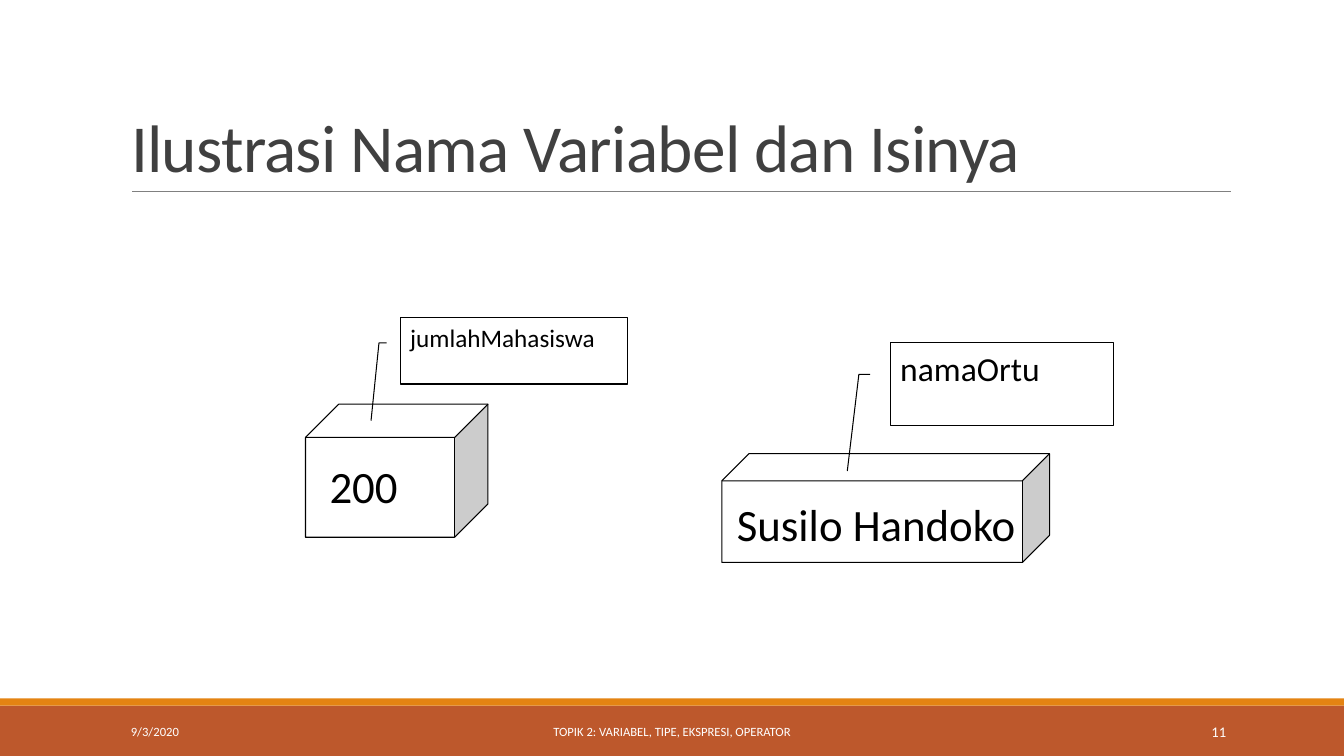
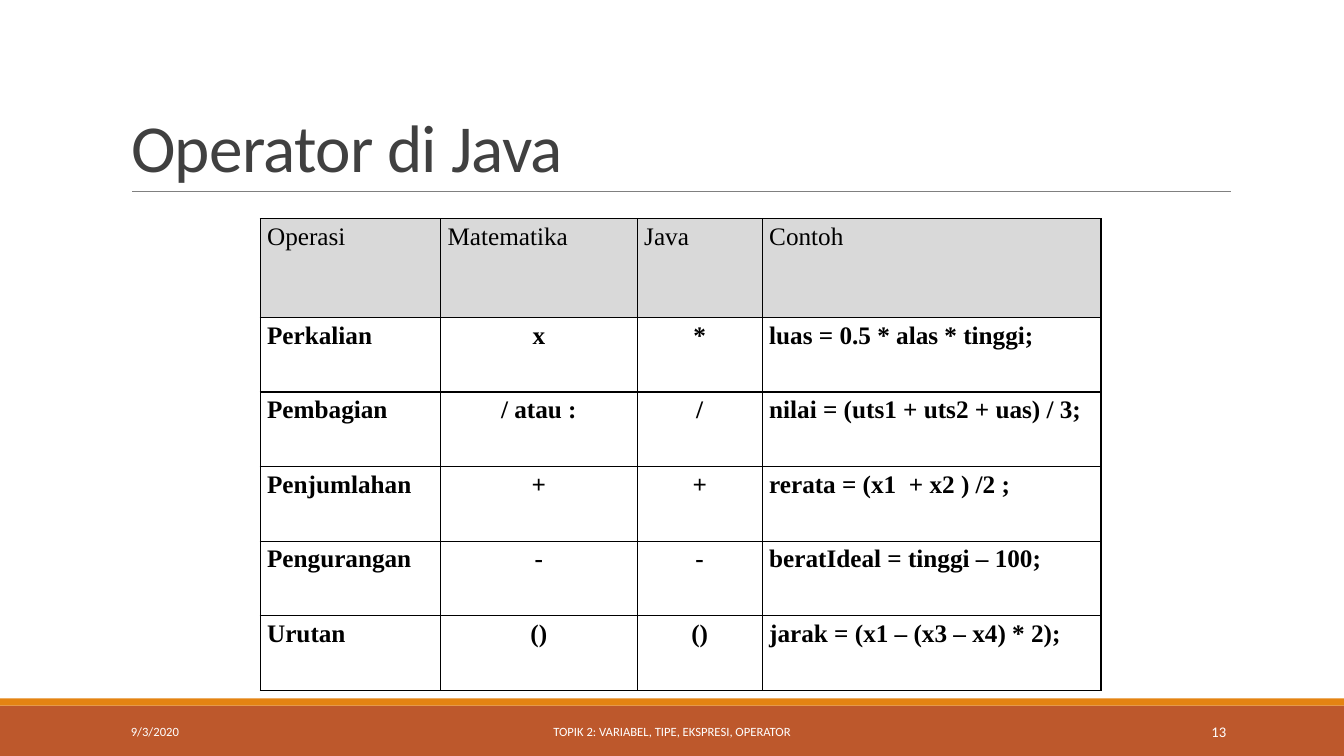
import pptx
import pptx.dml.color
import pptx.enum.shapes
import pptx.enum.text
import pptx.oxml
import pptx.oxml.ns
import pptx.util

Inches, Pt = pptx.util.Inches, pptx.util.Pt
SHAPE = pptx.enum.shapes.MSO_SHAPE
ALIGN = pptx.enum.text.PP_ALIGN
ANCHOR = pptx.enum.text.MSO_ANCHOR

WIDTH, HEIGHT = 13.33, 7.5
BLACK, WHITE, GRAY = "000000", "FFFFFF", "D9D9D9"
TITLE_COLOR, RULE_COLOR = "404040", "808080"
BANDS = [("BD582C", 7, 0.5), ("E48312", 6.93, 0.07)]
TITLE_BOX = (1.2, 0.31, 11, 1.59)
RULE_LEFT, RULE_RIGHT, RULE_TOP = 1.31, 12.21, 1.9
FOOTER_TOP, FOOTER_HEIGHT = 7.06, 0.4
DATE = "9/3/2020"
TOPIC = "TOPIK 2: VARIABEL, TIPE, EKSPRESI, OPERATOR"

VARIABLES = [
    {"name": "jumlahMahasiswa", "name_size": 18, "value": "200",
     "cube": (3.03, 4.01, 1.81, 1.32), "label": (3.97, 3.15, 2.25, 0.66),
     "value_box": (3.17, 4.5, 1.33, 0.64),
     "pointer": (0.382, -0.06, 0.382, -0.094, 1.552, -0.129)},
    {"name": "namaOrtu", "name_size": 24, "value": "Susilo Handoko",
     "cube": (7.16, 4.5, 3.25, 1.08), "label": (8.83, 3.4, 2.21, 0.82),
     "value_box": (7.21, 4.88, 3.21, 0.64),
     "pointer": (0.382, -0.09, 0.382, -0.141, 1.552, -0.193)},
]

OPERATORS = [
    ("Operasi", "Matematika", "Java", "Contoh"),
    ("Perkalian", "x", "*", "luas = 0.5 * alas * tinggi;"),
    ("Pembagian", "/ atau :", "/", "nilai = (uts1 + uts2 + uas) / 3;"),
    ("Penjumlahan", "+", "+", "rerata = (x1  + x2 ) /2 ;"),
    ("Pengurangan", "-", "-", "beratIdeal = tinggi – 100;"),
    ("Urutan", "()", "()", "jarak = (x1 – (x3 – x4) * 2);"),
]
TABLE_LEFT, TABLE_TOP = 2.58, 2.17
COLUMN_WIDTHS = [1.79, 1.95, 1.24, 3.36]
HEADER_HEIGHT, ROW_HEIGHT = 0.98, 0.74
SYMBOL_COLUMNS = (1, 2)
CELL_FORMAT = {"margin_left": Inches(0.07), "margin_right": Inches(0.07),
               "margin_top": 0, "margin_bottom": 0}


def rgb(color):
    return pptx.dml.color.RGBColor.from_string(color)


def inches(box):
    return [Inches(length) for length in box]


def set_attributes(target, values):
    for name, value in values.items():
        setattr(target, name, value)


def write(frame, text, size, color=BLACK, font="Calibri", bold=False,
          align=ALIGN.LEFT, spacing=None):
    paragraph = frame.paragraphs[0]
    run = paragraph.add_run()
    run.text = text
    set_attributes(paragraph, {"alignment": align, "line_spacing": spacing})
    set_attributes(run.font, {"name": font, "size": Pt(size), "bold": bold})
    run.font.color.rgb = rgb(color)
    return run


def add_text(slide, box, text, size, anchor=ANCHOR.TOP, **style):
    frame = slide.shapes.add_textbox(*inches(box)).text_frame
    set_attributes(frame, {"word_wrap": True, "vertical_anchor": anchor})
    write(frame, text, size, **style)


def add_shape(slide, kind, box, fill, line=None):
    shape = slide.shapes.add_shape(kind, *inches(box))
    shape.shadow.inherit = False
    shape.fill.solid()
    shape.fill.fore_color.rgb = rgb(fill)
    if line:
        shape.line.color.rgb = rgb(line)
        shape.line.width = Pt(0.75)
    else:
        shape.line.fill.background()
    return shape


def add_slide(presentation, title, number):
    """Add a slide with the shared bands, title, rule and footer."""
    slide = presentation.slides.add_slide(presentation.slide_layouts[5])
    for color, top, height in BANDS:
        add_shape(slide, SHAPE.RECTANGLE, (0, top, WIDTH, height), color)

    rule = slide.shapes.add_connector(
        pptx.enum.shapes.MSO_CONNECTOR.STRAIGHT,
        *inches((RULE_LEFT, RULE_TOP, RULE_RIGHT, RULE_TOP)))
    rule.line.color.rgb = rgb(RULE_COLOR)
    rule.line.width = Pt(0.5)
    rule._element.spPr.append(pptx.oxml.parse_xml(
        f'<a:effectLst {pptx.oxml.ns.nsdecls("a")}/>'))

    heading = slide.shapes.title
    set_attributes(heading, dict(zip(("left", "top", "width", "height"),
                                     inches(TITLE_BOX))))
    set_attributes(heading.text_frame, {
        "vertical_anchor": ANCHOR.BOTTOM, "word_wrap": True,
        "auto_size": pptx.enum.text.MSO_AUTO_SIZE.NONE})
    run = write(heading.text_frame, title, 48, TITLE_COLOR, spacing=0.85)
    run.font._element.set("spc", "-50")

    footers = [
        (DATE, 1.2, 2.7, 9, ALIGN.LEFT),
        (TOPIC, 4.03, 5.27, 9, ALIGN.CENTER),
        (str(number), 10.83, 1.43, 10.5, ALIGN.RIGHT),
    ]
    for text, left, width, size, align in footers:
        add_text(slide, (left, FOOTER_TOP, width, FOOTER_HEIGHT), text, size,
                 ANCHOR.MIDDLE, color=WHITE, align=align)
    return slide


def add_variable(slide, variable):
    """Draw a cube holding the value and a callout holding the name."""
    add_shape(slide, SHAPE.CUBE, variable["cube"], WHITE, BLACK)
    label = add_shape(slide, SHAPE.LINE_CALLOUT_2, variable["label"],
                      WHITE, BLACK)
    for index, value in enumerate(variable["pointer"]):
        label.adjustments[index] = value
    label.text_frame.vertical_anchor = ANCHOR.TOP
    write(label.text_frame, variable["name"], variable["name_size"])
    add_text(slide, variable["value_box"], variable["value"], 32)


def add_borders(cell):
    properties = cell._tc.get_or_add_tcPr()
    for side in "LRTB":
        properties.append(pptx.oxml.parse_xml(
            f'<a:ln{side} {pptx.oxml.ns.nsdecls("a")} w="{Pt(1)}">'
            f'<a:solidFill><a:srgbClr val="{BLACK}"/></a:solidFill>'
            f'</a:ln{side}>'))


def add_operator_table(slide):
    heights = [HEADER_HEIGHT] + [ROW_HEIGHT] * (len(OPERATORS) - 1)
    table = slide.shapes.add_table(
        len(heights), len(COLUMN_WIDTHS),
        *inches((TABLE_LEFT, TABLE_TOP, sum(COLUMN_WIDTHS), sum(heights)))).table
    for column, width in zip(table.columns, COLUMN_WIDTHS):
        column.width = Inches(width)
    for row_index, texts in enumerate(OPERATORS):
        table.rows[row_index].height = Inches(heights[row_index])
        is_header = row_index == 0
        for column_index, text in enumerate(texts):
            cell = table.cell(row_index, column_index)
            set_attributes(cell, CELL_FORMAT)
            add_borders(cell)
            if is_header:
                cell.fill.solid()
                cell.fill.fore_color.rgb = rgb(GRAY)
            else:
                cell.fill.background()
            centered = column_index in SYMBOL_COLUMNS and not is_header
            write(cell.text_frame, text, 18, font="Times New Roman",
                  bold=not is_header, spacing=1.15,
                  align=ALIGN.CENTER if centered else ALIGN.JUSTIFY)


def main():
    presentation = pptx.Presentation()
    presentation.slide_width = Inches(WIDTH)
    presentation.slide_height = Inches(HEIGHT)

    slide = add_slide(presentation, "Ilustrasi Nama Variabel dan Isinya", 11)
    for variable in VARIABLES:
        add_variable(slide, variable)

    add_operator_table(add_slide(presentation, "Operator di Java", 13))
    presentation.save("out.pptx")


if __name__ == "__main__":
    main()
